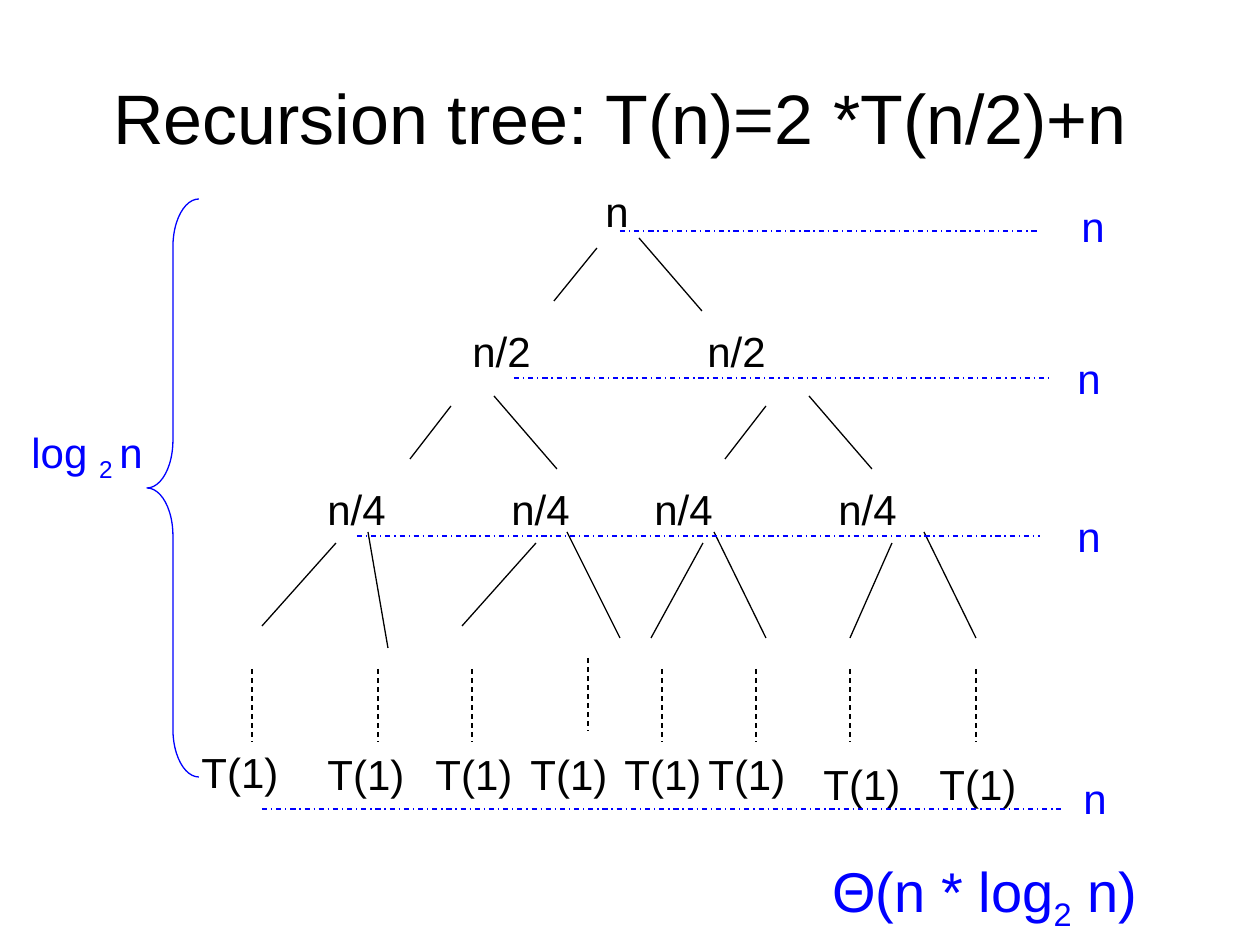
"""Build a slide with the recursion tree of T(n) = 2 T(n/2) + n."""
from lxml import etree
from pptx import Presentation
from pptx import util as u
from pptx.dml.color import RGBColor
from pptx.enum import dml, shapes, text
from pptx.oxml.ns import qn

SCALE = 914400 / 126
BLACK, BLUE = "000000", "0000FF"
LABEL_HEIGHT = 63
STEM_LENGTH = 73
SUBTREE_STEP = 315

TITLE = "Recursion tree: T(n)=2 *T(n/2)+n"
NODE_LEVELS = [
    ("n", 50, 179, [593]),
    ("n/2", 88, 319, [460, 695]),
    ("n/4", 88, 477, [315, 499, 642, 826]),
]
ROOT_EDGES = [(597, 248, 554, 301), (639, 238, 702, 311)]
SUBTREE_EDGES = [(451, 406, 410, 459), (494, 396, 557, 469)]
LOWER_EDGES = [
    (336, 543, 262, 626), (368, 532, 388, 648),
    (536, 543, 462, 626), (567, 532, 620, 638),
    (703, 543, 651, 638), (714, 532, 766, 638),
    (892, 543, 850, 638), (924, 532, 976, 638),
]
# Leaf left, leaf top, stem x, stem top
LEAVES = [
    (189, 740, 252, 669), (315, 742, 378, 669),
    (423, 742, 472, 669), (518, 742, 588, 658),
    (612, 742, 662, 669), (696, 742, 756, 669),
    (811, 752, 850, 669), (927, 752, 976, 669),
]
# Line start, line end, line y, cost left, cost top
LEVEL_COSTS = [
    (620, 1040, 231, 1069, 194),
    (514, 1050, 378, 1065, 346),
    (357, 1040, 536, 1065, 504),
    (262, 1061, 809, 1071, 766),
]
DEPTH = [("log ", 0), ("2 ", -25), ("n", 0)]
RESULT = [("Θ(n * log", 0), ("2", -25), (" n)", 0)]


def px(*lengths):
    return [u.Emu(round(length * SCALE)) for length in lengths]


def color(value):
    return RGBColor.from_string(value)


def add_text(page, content, at, size=24, ink=BLACK, wrap=False,
             align=text.PP_ALIGN.LEFT, anchor=text.MSO_ANCHOR.TOP):
    frame = page.shapes.add_textbox(*px(*at)).text_frame
    frame.word_wrap = wrap
    frame.vertical_anchor = anchor
    para = frame.paragraphs[0]
    para.alignment = align
    for words, baseline in [(content, 0)] if isinstance(content, str) else content:
        span = para.add_run()
        span.text = words
        span.font.name = "Arial"
        span.font.size = u.Pt(size)
        span.font.color.rgb = color(ink)
        if baseline:
            span._r.get_or_add_rPr().set("baseline", str(baseline * 1000))


def set_line(shape, ink, dash=None):
    shape.line.color.rgb = color(ink)
    shape.line.width = u.Pt(0.75)
    if dash:
        shape.line.dash_style = dash


def add_line(page, ends, ink=BLACK, dash=None):
    line = page.shapes.add_connector(shapes.MSO_CONNECTOR.STRAIGHT, *px(*ends))
    set_line(line, ink, dash)
    etree.SubElement(line._element.spPr, qn("a:effectLst"))


def add_brace(page, at):
    brace = page.shapes.add_shape(shapes.MSO_SHAPE.LEFT_BRACE, *px(*at))
    brace.adjustments[0] = 0.92
    brace.shadow.inherit = False
    brace.fill.background()
    set_line(brace, BLUE)


def main():
    deck = Presentation()
    deck.slide_width, deck.slide_height = px(1260, 945)
    page = deck.slides.add_slide(deck.slide_layouts[6])

    add_text(page, TITLE, (53, 38, 1134, 157), size=40, wrap=True,
             align=text.PP_ALIGN.CENTER, anchor=text.MSO_ANCHOR.MIDDLE)
    for label, width, top, lefts in NODE_LEVELS:
        for left in lefts:
            add_text(page, label, (left, top, width, LABEL_HEIGHT))

    middle_edges = [(x1 + shift, y1, x2 + shift, y2)
                    for shift in (0, SUBTREE_STEP)
                    for x1, y1, x2, y2 in SUBTREE_EDGES]
    for edge in ROOT_EDGES + middle_edges + LOWER_EDGES:
        add_line(page, edge)

    for left, top, stem, stem_top in LEAVES:
        add_text(page, "T(1)", (left, top, 104, LABEL_HEIGHT))
        add_line(page, (stem, stem_top, stem, stem_top + STEM_LENGTH),
                 dash=dml.MSO_LINE.DASH)

    add_brace(page, (147, 199, 52, 578))
    add_text(page, DEPTH, (19, 420, 146, 71), ink=BLUE)
    for start, end, y, left, top in LEVEL_COSTS:
        add_line(page, (start, y, end, y), ink=BLUE, dash=dml.MSO_LINE.DASH_DOT)
        add_text(page, "n", (left, top, 50, LABEL_HEIGHT), ink=BLUE)
    add_text(page, RESULT, (820, 850, 334, 89), size=32, ink=BLUE)

    deck.save("out.pptx")


if __name__ == "__main__":
    main()
